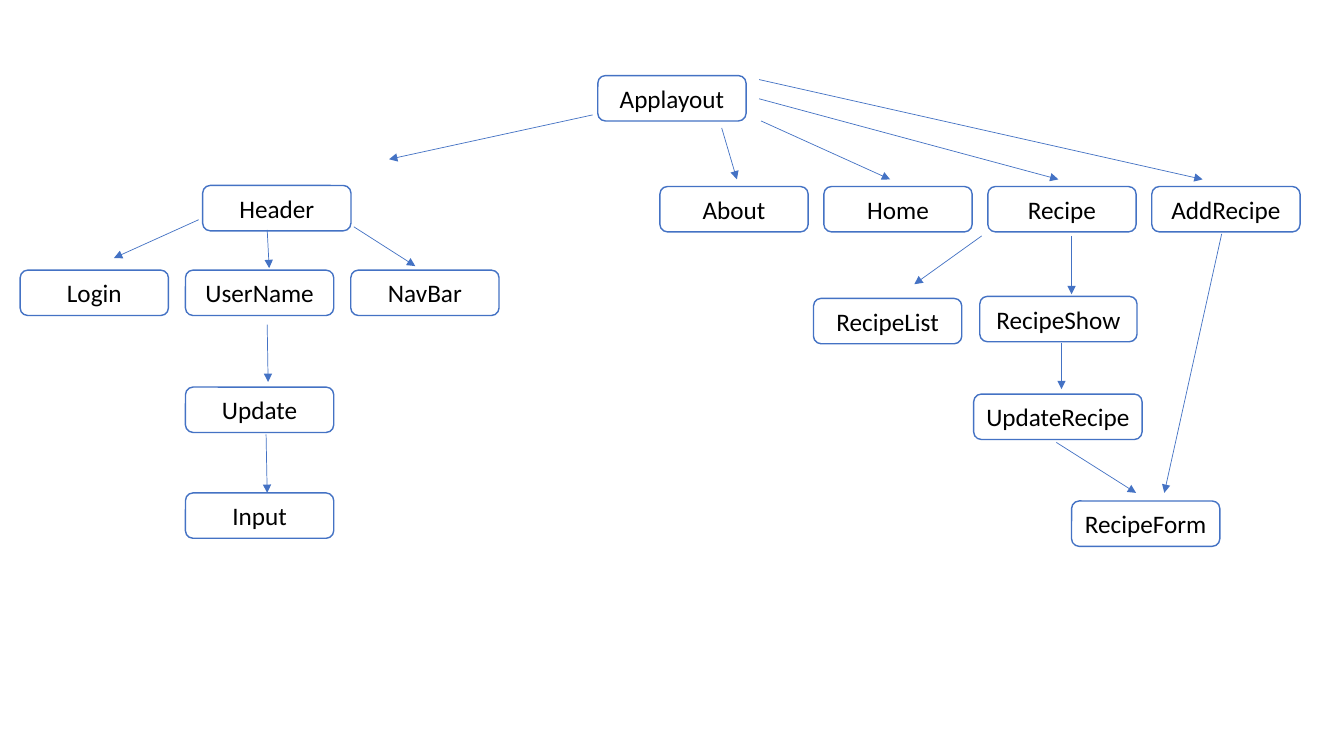
"""Build a component tree slide, with all lengths in percent of the slide's size."""
from lxml import etree
from pptx import Presentation
from pptx import util as u
from pptx.dml.color import RGBColor
from pptx.enum import shapes, text
from pptx.oxml.ns import qn

COLORS = {"line": "4472C4", "fill": "FFFFFF", "text": "000000"}
WIDTH, HEIGHT = 13.33, 7.5
BOX_W, BOX_H = 11.03, 6

HEADER_PARTS = ["Login", "UserName", "NavBar"]
PAGES = ["About", "Home", "Recipe", "AddRecipe"]
HEADER_LEFT, HEADER_STEP = 1.5, 12.3
PAGES_LEFT, PAGES_STEP = 49.1, 12.2
USER_LEFT = HEADER_LEFT + HEADER_STEP

SINGLE_BOXES = [
    ("Applayout", 44.48, 10, BOX_W),
    ("Header", 15.08, 24.53, BOX_W),
    ("Update", USER_LEFT, 51.2, BOX_W),
    ("Input", USER_LEFT, 65.2, BOX_W),
    ("RecipeList", 60.53, 39.47, BOX_W),
    ("RecipeShow", 72.9, 39.2, 11.7),
    ("UpdateRecipe", 72.45, 52.13, 12.53),
    ("RecipeForm", 79.73, 66.27, BOX_W),
]

LAYOUT_ARROWS = [
    (44.1, 15.2, 28.95, 21.07),
    (53.7, 16.93, 54.83, 23.73),
    (56.63, 16, 66.23, 23.73),
    (56.48, 13.07, 78.75, 23.73),
    (56.48, 10.53, 89.48, 23.73),
]
HEADER_ARROWS = [
    (14.78, 29.07, 8.48, 34.13),
    (19.88, 30.4, 20.03, 35.47),
    (26.33, 30, 30.9, 35.2),
    (19.88, 42.93, 19.95, 50.53),
    (19.8, 57.47, 19.88, 65.2),
]
RECIPE_ARROWS = [
    (73.05, 31.2, 68.03, 37.6),
    (79.73, 31.2, 79.73, 38.93),
    (78.98, 45.33, 78.98, 51.47),
    (78.6, 58.53, 84.53, 65.2),
    (90.9, 30.93, 86.63, 65.2),
]


def color(name):
    return RGBColor.from_string(COLORS[name])


def across(share):
    return u.Inches(WIDTH * share / 100)


def down(share):
    return u.Inches(HEIGHT * share / 100)


def add_box(s, label, left, top, width=BOX_W):
    sp = s.shapes.add_shape(shapes.MSO_SHAPE.ROUNDED_RECTANGLE,
                            across(left), down(top), across(width), down(BOX_H))
    sp.shadow.inherit = False
    sp.fill.solid()
    sp.fill.fore_color.rgb = color("fill")
    sp.line.color.rgb = color("line")
    sp.line.width = u.Pt(1)
    tf = sp.text_frame
    tf.vertical_anchor = text.MSO_ANCHOR.MIDDLE
    p = tf.paragraphs[0]
    p.text = label
    p.alignment = text.PP_ALIGN.CENTER
    p._p.get_or_add_pPr().set("rtl", "1")
    p.font.name = "Calibri"
    p.font.size = u.Pt(18)
    p.font.color.rgb = color("text")


def add_row(s, labels, left, step, top):
    for i, label in enumerate(labels):
        add_box(s, label, left + i * step, top)


def add_arrow(s, x1, y1, x2, y2):
    cx = s.shapes.add_connector(shapes.MSO_CONNECTOR.STRAIGHT,
                                across(x1), down(y1), across(x2), down(y2))
    cx.line.color.rgb = color("line")
    cx.line.width = u.Pt(0.5)
    etree.SubElement(cx.line._get_or_add_ln(), qn("a:tailEnd"), type="triangle")
    etree.SubElement(cx._element.spPr, qn("a:effectLst"))


def main():
    prs = Presentation()
    prs.slide_width, prs.slide_height = u.Inches(WIDTH), u.Inches(HEIGHT)
    s = prs.slides.add_slide(prs.slide_layouts[6])
    add_row(s, HEADER_PARTS, HEADER_LEFT, HEADER_STEP, 35.73)
    add_row(s, PAGES, PAGES_LEFT, PAGES_STEP, 24.67)
    for box in SINGLE_BOXES:
        add_box(s, *box)
    for arrow in LAYOUT_ARROWS + HEADER_ARROWS + RECIPE_ARROWS:
        add_arrow(s, *arrow)
    prs.save("out.pptx")


if __name__ == "__main__":
    main()
